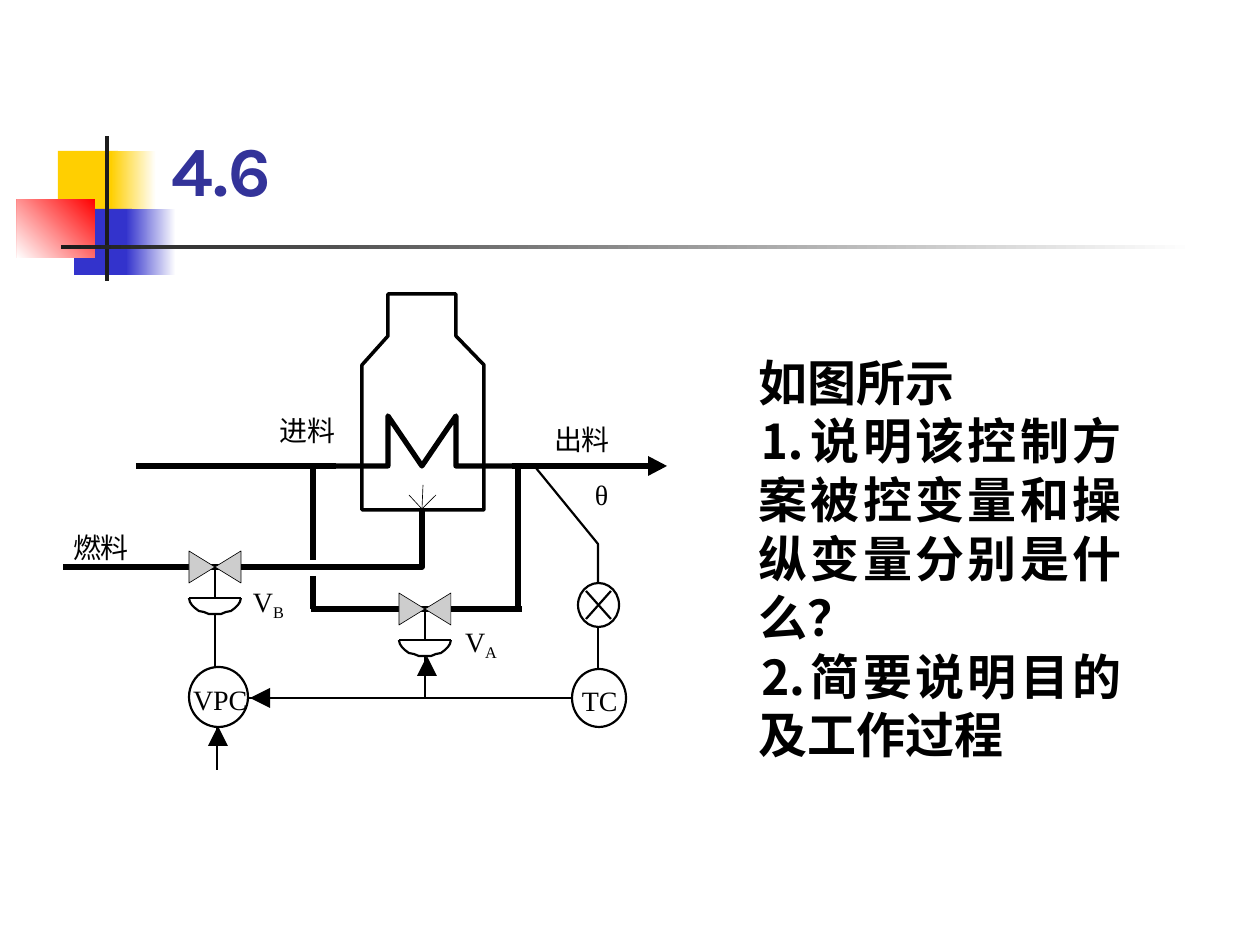
"""Builds the slide on the heating furnace control scheme."""
import math

from lxml import etree
from pptx import Presentation, util as u
from pptx.dml.color import RGBColor
from pptx.enum import shapes, text
from pptx.oxml.ns import qn

theme = {
    "ink": "000000", "paper": "FFFFFF", "valve": "CDCDCD", "title": "333399",
    "gold": "FFCF01", "blue": "3333CC", "red": "FF0000", "bar": "1C1C1C",
    "head": "Karla", "han": "Noto Sans CJK SC", "latin": "Times New Roman",
    "big": 40, "body": 28, "small": 16,
    "pipe": 3, "wall": 2, "thin": 1.25, "hair": 0.37,
}
PX = 914400 / 126

deck = Presentation()
deck.slide_width, deck.slide_height = u.Inches(10), u.Inches(7.5)
slide = deck.slides.add_slide(deck.slide_layouts[5])
tree = slide.shapes


def draw(pts, width=None, fill=None, kind=None):
    """Draw a line, an outline through points, or a preset shape in a box."""
    if kind:
        shape = tree.add_shape(kind, *[round(v * PX) for v in pts])
    elif len(pts) == 2:
        ends = [round(v * PX) for pt in pts for v in pt]
        shape = tree.add_connector(shapes.MSO_CONNECTOR.STRAIGHT, *ends)
        etree.SubElement(shape._element.spPr, qn("a:effectLst"))
    else:
        pen = tree.build_freeform(*pts[0], scale=PX)
        pen.add_line_segments(pts[1:], close=bool(fill))
        shape = pen.convert_to_shape()
    if kind or len(pts) > 2:
        shape.shadow.inherit = False
        if fill:
            shape.fill.solid()
            shape.fill.fore_color.rgb = RGBColor.from_string(theme[fill])
        else:
            shape.fill.background()
    if width:
        shape.line.color.rgb = RGBColor.from_string(theme["ink"])
        shape.line.width = u.Pt(theme[width])
    else:
        shape.line.fill.background()
    return shape


def write(shape, box, paras, font, size, color="ink", bold=False, pitch=None):
    """Place a text shape and fill it run by run; a second run is a subscript."""
    shape.left, shape.top, shape.width, shape.height = [round(v * PX) for v in box]
    frame = shape.text_frame
    frame.auto_size = text.MSO_AUTO_SIZE.NONE
    for i, runs in enumerate(paras):
        para = frame.add_paragraph() if i else frame.paragraphs[0]
        para.alignment = text.PP_ALIGN.LEFT
        if pitch:
            para.line_spacing = u.Pt(pitch)
        for j, part in enumerate(runs):
            run = para.add_run()
            run.text = part
            run.font.name, run.font.size = theme[font], u.Pt(theme[size])
            run.font.bold = bold
            run.font.color.rgb = RGBColor.from_string(theme[color])
            props = run._r.get_or_add_rPr()
            etree.SubElement(props, qn("a:ea"), typeface=theme[font])
            if j:
                props.set("baseline", "-20000")
    return frame


RECT, OVAL = shapes.MSO_SHAPE.RECTANGLE, shapes.MSO_SHAPE.OVAL
for box, start, end, angle in [
    ((58, 151, 60, 66), "gold", None, 0),
    ((111, 151, 45, 66), "paper", "gold", 180),
    ((74, 209, 58, 66), "blue", None, 0),
    ((126, 209, 50, 66), "paper", "blue", 180),
    ((17, 199, 78, 59), "red", "paper", 225),
    ((105, 136, 4, 145), "bar", None, 0),
    ((61, 245, 1134, 4), "paper", "bar", 180),
]:
    block = draw(box, fill=start, kind=RECT)
    if end:
        block.fill.gradient()
        block.fill.gradient_angle = angle
        for stop, name, place in zip(block.fill.gradient_stops, (start, end), (0, 1)):
            stop.color.rgb = RGBColor.from_string(theme[name])
            stop.position = place

head = write(tree.title, (159, 86, 1074, 131), [["4.6"]], "head", "big", "title", True)
head.vertical_anchor = text.MSO_ANCHOR.BOTTOM

body = write(tree.add_textbox(0, 0, 0, 0), (746, 346, 388, 425),
             [["如图所示"], ["⒈说明该控制方案被控变量和操纵变量分别是什么？"],
              ["⒉简要说明目的及工作过程"]],
             "han", "body", bold=True, pitch=33.6)
body.word_wrap = True
for para in body.paragraphs:
    para.alignment = text.PP_ALIGN.JUSTIFY

for pts, width, fill in [
    ([(215, 615), (215, 698), (257, 698)], "thin", None),
    ([(425, 656), (425, 698), (620, 698)], "thin", None),
    ([(598, 625), (598, 698), (231, 698)], "thin", None),
    ([(311, 609), (522, 609)], "pipe", None),
    ([(362, 510), (362, 365), (388, 336), (388, 294), (456, 294),
      (456, 336), (484, 365), (484, 510)], "wall", "paper"),
    ([(334, 466), (388, 466), (388, 416), (422, 466), (456, 416),
      (456, 466), (512, 466)], "pipe", None),
    ([(512, 466), (662, 466)], "pipe", None),
    ([(136, 466), (336, 466)], "pipe", None),
    ([(598, 583), (598, 544), (536, 468)], "thin", None),
    ([(422, 510), (422, 567), (63, 567)], "pipe", None),
    ([(422, 509), (436, 495)], "hair", None),
    ([(422, 509), (409, 495)], "hair", None),
    ([(422, 510), (423, 485)], "hair", None),
    ([(313, 466), (313, 560)], "pipe", None),
    ([(313, 576), (313, 609)], "pipe", None),
    ([(518, 467), (518, 608)], "pipe", None),
    ([(217, 728), (217, 770)], "thin", None),
    ([(648, 456), (667, 466), (648, 476)], None, "ink"),
    ([(270, 708), (250, 698), (270, 688)], None, "ink"),
    ([(417, 676), (427, 656), (437, 676)], None, "ink"),
    ([(208, 746), (218, 726), (228, 746)], None, "ink"),
]:
    draw(pts, width, fill)

for box in [(578, 583, 41, 44), (189, 667, 59, 60), (572, 669, 54, 58)]:
    draw(box, "thin", "paper", OVAL)
for left, right in [(586, 611), (611, 586)]:
    draw([(left, 591), (right, 619)], "thin")

for x, y in [(215, 567), (425, 609)]:
    draw([(x - 26, y - 16), (x - 26, y + 16), (x + 26, y - 16), (x + 26, y + 16)],
         "hair", "valve")
    draw([(x, y), (x, y + 31)], "thin")
    draw([(x - 26, y + 31), (x + 26, y + 31)], "thin")
    arc = [math.pi * i / 14 for i in range(15)]
    draw([(x + 26 * math.cos(a), y + 31 + 16 * math.sin(a)) for a in arc], "thin")

for box, runs, font in [
    ((193, 683, 54, 34), ["VPC"], "latin"),
    ((582, 684, 35, 34), ["TC"], "latin"),
    ((280, 413, 55, 34), ["进料"], "han"),
    ((554, 422, 55, 34), ["出料"], "han"),
    ((73, 530, 55, 34), ["燃料"], "han"),
    ((465, 625, 32, 36), ["V", "A"], "latin"),
    ((253, 585, 32, 36), ["V", "B"], "latin"),
    ((595, 478, 14, 34), ["θ"], "latin"),
]:
    frame = write(tree.add_textbox(0, 0, 0, 0), box, [runs], font, "small",
                  pitch=19.4 if font == "han" else None)
    frame.word_wrap = False
    frame.margin_left = frame.margin_right = frame.margin_top = frame.margin_bottom = 0

deck.save("out.pptx")
